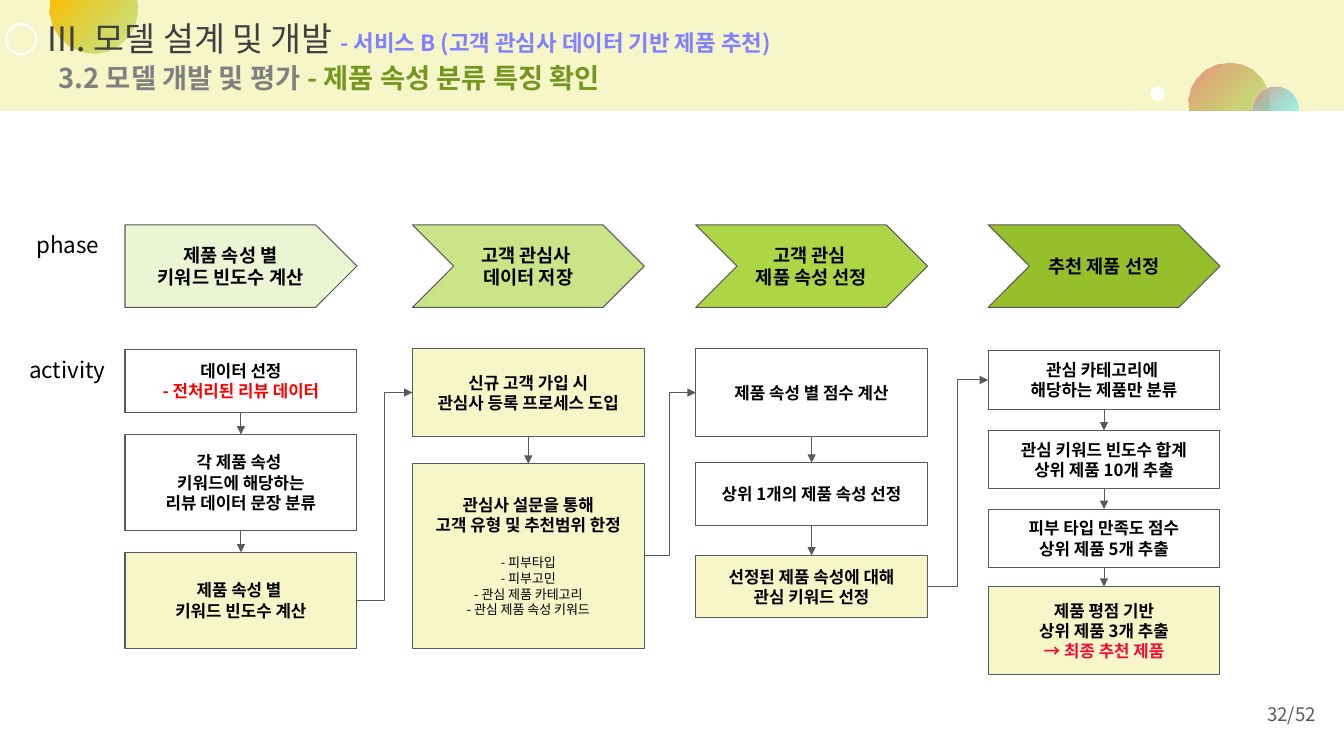
from math import asin, cos, pi, sin

from lxml import etree
from pptx import Presentation
from pptx.dml.color import RGBColor
from pptx.enum.shapes import MSO_CONNECTOR, MSO_SHAPE
from pptx.enum.text import MSO_ANCHOR, MSO_AUTO_SIZE, PP_ALIGN
from pptx.oxml.ns import qn
from pptx.util import Inches, Pt

RECT, OVAL = MSO_SHAPE.RECTANGLE, MSO_SHAPE.OVAL
PENTAGON, CHEVRON = MSO_SHAPE.PENTAGON, MSO_SHAPE.CHEVRON
STRAIGHT, ELBOW = MSO_CONNECTOR.STRAIGHT, MSO_CONNECTOR.ELBOW
LEFT, CENTER, RIGHT = PP_ALIGN.LEFT, PP_ALIGN.CENTER, PP_ALIGN.RIGHT
TOP, MIDDLE = MSO_ANCHOR.TOP, MSO_ANCHOR.MIDDLE
FONT = "Noto Sans CJK KR"
C = {
    "cream": "F6F6C9", "white": "FFFFFF", "black": "000000", "line": "595959",
    "title": "404040", "service": "8181FF", "section": "808080", "topic": "759721",
    "red": "FF0000", "crimson": "F10D38", "amber": "FFC000", "lime": "9ACD32",
    "coral": "F19182", "aqua": "31EAFE",
    "phase1": "EBF5D3", "phase2": "CAE488", "phase3": "ADD646", "phase4": "95BF2B",
}
W, H, BAND_H = 13.33, 7.5, 1.1
COL_X, COL_W = [1.24, 4.09, 6.9, 9.8], 2.3
PHASE_Y, PHASE_H = 2.23, 0.82
ARC_STEPS = 12


def style(font, size, color, bold):
    """Set the font for Latin and Korean text, without pair kerning."""
    font.name, font.size, font.bold = FONT, Pt(size), bold
    font.color.rgb = RGBColor.from_string(C[color])
    font._element.set("kern", "0")
    etree.SubElement(font._element, qn("a:ea")).set("typeface", FONT)


def write(sp, lines, size, color="black", bold=False, align=CENTER, anchor=MIDDLE):
    """Fill sp; a line is a string, or a list of (text, size, color, bold) runs."""
    tf = sp.text_frame
    tf.word_wrap, tf.auto_size, tf.vertical_anchor = True, MSO_AUTO_SIZE.NONE, anchor
    tf.margin_left = tf.margin_right = tf.margin_top = tf.margin_bottom = Inches(0.13)
    for i, line in enumerate(lines):
        p = tf.paragraphs[0] if i == 0 else tf.add_paragraph()
        p.alignment = align
        runs = [(line, size, color, bold)] if isinstance(line, str) else line
        for text, *look in runs:
            r = p.add_run()
            r.text = text
            style(p.font if len(runs) == 1 else r.font, *look)


prs = Presentation()
prs.slide_width, prs.slide_height = Inches(W), Inches(H)
s = prs.slides.add_slide(prs.slide_layouts[5])

# Header band with its circles
decor = [
    (RECT, 0, 0, W, BAND_H, "cream", None),
    (OVAL, 0.06, 0.24, 0.3, 0.3, None, 1.5),
    (OVAL, 11.44, 0.89, 0.08, 0.08, "white", 4.5),
]
for kind, x, y, w, h, fill, line in decor:
    sp = s.shapes.add_shape(kind, Inches(x), Inches(y), Inches(w), Inches(h))
    sp.shadow.inherit = False
    if fill:
        sp.fill.solid()
        sp.fill.fore_color.rgb = RGBColor.from_string(C[fill])
    else:
        sp.fill.background()
    if line:
        sp.line.color.rgb = RGBColor.from_string(C["white"])
        sp.line.width = Pt(line)
    else:
        sp.line.fill.background()

# Gradient discs cut at an edge of the band:
# centre, radius, edge, side of the edge (1 below, -1 above), angle, (color, opacity in %)
discs = [
    (0.93, 0.09, 0.44, 0, 1, 315, [("amber", 100), ("lime", 40)]),
    (12.19, 1.02, 0.4, BAND_H, -1, 135, [("lime", 50), ("coral", 100)]),
    (12.65, 1.09, 0.23, BAND_H, -1, 135, [("aqua", 40), ("coral", 100)]),
]
for cx, cy, radius, edge, side, angle, stops in discs:
    start = asin(side * (edge - cy) / radius)
    points = []
    for i in range(ARC_STEPS + 1):
        a = start + (pi - 2 * start) * i / ARC_STEPS
        points.append((Inches(cx + radius * cos(a)), Inches(cy + side * radius * sin(a))))
    builder = s.shapes.build_freeform(*points[0])
    builder.add_line_segments(points[1:])
    sp = builder.convert_to_shape()
    sp.shadow.inherit = False
    sp.line.fill.background()
    sp.fill.gradient()
    sp.fill.gradient_angle = angle
    for stop, position, (color, _) in zip(sp.fill.gradient_stops, (0, 1), stops):
        stop.position = position
        stop.color.rgb = RGBColor.from_string(C[color])
    for clr, (_, opacity) in zip(sp._element.spPr.iter(qn("a:srgbClr")), stops):
        if opacity < 100:
            etree.SubElement(clr, qn("a:alpha")).set("val", str(opacity * 1000))

# Title in front of the band
title = s.shapes.title
s.shapes._spTree.append(title._element)
title.left, title.top = Inches(0.28), Inches(0.05)
title.width, title.height = Inches(8.28), Inches(0.64)
write(title, [[("III. 모델 설계 및 개발 ", 24, "title", False),
               ("- 서비스 B (고객 관심사 데이터 기반 제품 추천)", 16, "service", True)]],
      24, align=LEFT, anchor=TOP)
title.text_frame.margin_left = Inches(0.19)

labels = [
    (0.45, 0.48, 9.93, 0.49, [("3.2 모델 개발 및 평가 ", 19.5, "section", True),
                              ("- 제품 속성 분류 특징 확인", 19.5, "topic", True)], LEFT, TOP),
    (0.23, 2.16, 0.98, 0.5, [("phase", 16, "black", False)], LEFT, TOP),
    (0.16, 3.4, 1.05, 0.5, [("activity", 16, "black", False)], LEFT, TOP),
    (12.19, 6.8, 0.99, 0.57, [("32/52", 13.3, "line", False)], RIGHT, MIDDLE),
]
for x, y, w, h, runs, align, anchor in labels:
    sp = s.shapes.add_textbox(Inches(x), Inches(y), Inches(w), Inches(h))
    write(sp, [runs], 16, align=align, anchor=anchor)

# Each column: phase lines, then steps as (top, height, fill, lines)
survey = ["- 피부타입", "- 피부고민", "- 관심 제품 카테고리", "- 관심 제품 속성 키워드"]
columns = [
    (["제품 속성 별", "키워드 빈도수 계산"], [
        (3.47, 0.62, "white", ["데이터 선정", [("- 전처리된 리뷰 데이터", 12, "red", True)]]),
        (4.31, 0.95, "white", ["각 제품 속성 ", "키워드에 해당하는", "리뷰 데이터 문장 분류"]),
        (5.48, 0.95, "cream", ["제품 속성 별 ", "키워드 빈도수 계산"])]),
    (["고객 관심사 ", "데이터 저장"], [
        (3.46, 0.87, "cream", ["신규 고객 가입 시", "관심사 등록 프로세스 도입"]),
        (4.6, 1.83, "cream", ["관심사 설문을 통해", "고객 유형 및 추천범위 한정"]
         + [[(item, 9.3, "black", False)] for item in survey])]),
    (["고객 관심 ", "제품 속성 선정"], [
        (3.46, 0.87, "white", ["제품 속성 별 점수 계산"]),
        (4.59, 0.62, "white", ["상위 1개의 제품 속성 선정"]),
        (5.51, 0.62, "cream", ["선정된 제품 속성에 대해", "관심 키워드 선정"])]),
    (["추천 제품 선정"], [
        (3.48, 0.58, "white", ["관심 카테고리에 ", "해당하는 제품만 분류"]),
        (4.27, 0.58, "white", ["관심 키워드 빈도수 합계", "상위 제품 10개 추출"]),
        (5.05, 0.58, "white", ["피부 타입 만족도 점수", "상위 제품 5개 추출"]),
        (5.82, 0.87, "cream", ["제품 평점 기반", "상위 제품 3개 추출",
                               [("→ 최종 추천 제품", 12, "crimson", True)]])]),
]
links = []
last = None
for n, (x, (phase, steps)) in enumerate(zip(COL_X, columns)):
    boxes = [(PENTAGON if n == 0 else CHEVRON, PHASE_Y, PHASE_H, f"phase{n + 1}", phase, 13.3)]
    boxes += [(RECT, *step, 12) for step in steps]
    for i, (kind, y, h, fill, lines, size) in enumerate(boxes):
        sp = s.shapes.add_shape(kind, Inches(x), Inches(y), Inches(COL_W), Inches(h))
        sp.shadow.inherit = False
        sp.fill.solid()
        sp.fill.fore_color.rgb = RGBColor.from_string(C[fill])
        sp.line.color.rgb = RGBColor.from_string(C["line"])
        sp.line.width = Pt(0.75)
        write(sp, lines, size, bold=True)
        for p in sp.text_frame.paragraphs:
            if p.text == survey[0]:
                p.space_before = Pt(14.5)
        if i > 1:
            links.append((STRAIGHT, last, 2, sp, 0))
        elif i == 1 and last is not None:
            links.append((ELBOW, last, 3, sp, 1))
        if i > 0:
            last = sp

for kind, source, out_side, target, in_side in links:
    arrow = s.shapes.add_connector(kind, 0, 0, 0, 0)
    arrow.begin_connect(source, out_side)
    arrow.end_connect(target, in_side)
    arrow.line.color.rgb = RGBColor.from_string(C["line"])
    arrow.line.width = Pt(0.75)
    etree.SubElement(arrow.line._get_or_add_ln(), qn("a:tailEnd")).set("type", "triangle")
    etree.SubElement(arrow._element.spPr, qn("a:effectLst"))

prs.save("out.pptx")
